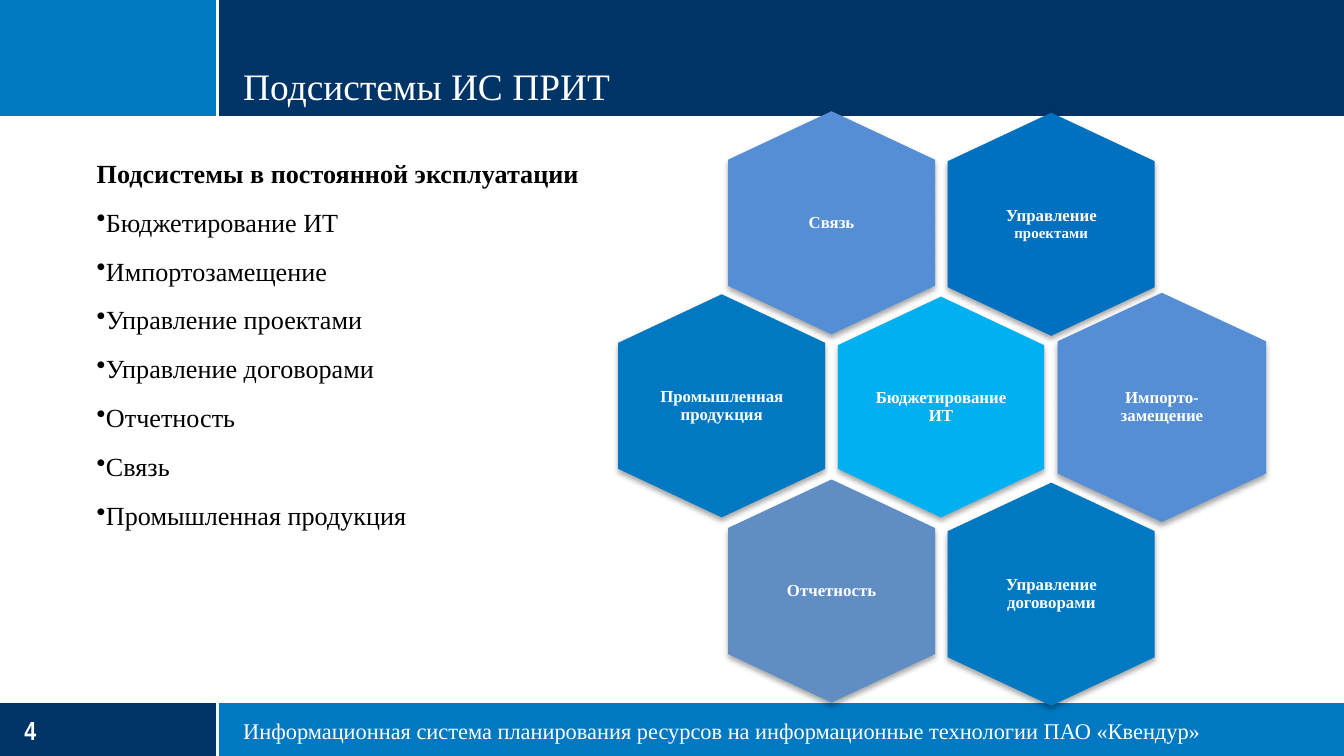
"""Build the slide that shows the subsystems as a list and a honeycomb."""
from dataclasses import dataclass

from lxml.etree import SubElement
from pptx import Presentation
from pptx.dml.color import RGBColor
from pptx.enum.shapes import MSO_CONNECTOR as Connector, MSO_SHAPE as Shape
from pptx.enum.text import MSO_ANCHOR as Anchor, MSO_AUTO_SIZE as AutoSize, PP_ALIGN as Align
from pptx.oxml.ns import qn
from pptx.util import Pt

WIDTH, HEIGHT = 720, 405
HEADER, FOOTER, SIDE = 63, 376.5, 116.5
TEXT_LEFT, TEXT_WIDTH = 130.3, 576.7
COMB_LEFT, COMB_STEP = 331.2, 58.85
PEAK = 26
SERIF = "Times New Roman"
BLUE, NAVY, WHITE, BLACK = "0079C2", "003366", "FFFFFF", "000000"


@dataclass
class Band:
    left: float
    top: float
    width: float
    height: float
    color: str


@dataclass
class Rule:
    start: tuple[float, float]
    end: tuple[float, float]


@dataclass
class Cell:
    spans: list[tuple[str, float]]
    column: int
    top: float
    color: str
    width: float = 110.9
    height: float = 119.5
    inset: tuple[float, float] = (17, 19.5)


BANDS = [
    Band(0, FOOTER, WIDTH, HEIGHT - FOOTER, BLUE),
    Band(0, 0, WIDTH, HEADER, NAVY),
    Band(0, 0, SIDE, HEADER, BLUE),
    Band(0, FOOTER, SIDE, HEIGHT - FOOTER, NAVY),
]
RULES = [
    Rule((0, 376), (WIDTH, 376)),
    Rule((SIDE, 376), (SIDE, HEIGHT)),
    Rule((SIDE, 0), (SIDE, HEADER)),
    Rule((0, HEADER), (WIDTH, HEADER)),
]
CELLS = [
    Cell([("Управление", 9), (" проектами", 8)], 3, 60.4, "0070C0"),
    Cell([("Промышленная продукция", 9)], 0, 157.7, BLUE, inset=(15, 17.5)),
    Cell([("Связь", 9)], 1, 59.6, "558ED5"),
    Cell([("Бюджетирование ИТ", 9)], 2, 158.9, "00B0F0", 110.4, 118.3),
    Cell([("Импорто-замещение", 9)], 4, 156.9, "558ED5", 111.7, 122.8, (15, 18)),
    Cell([("Отчетность", 9)], 1, 256.9, "608DC4"),
    Cell([("Управление договорами", 9)], 3, 258.6, BLUE, inset=(15, 17.5)),
]
HEADING = "Подсистемы в постоянной эксплуатации"
SUBSYSTEMS = [
    "Бюджетирование ИТ", "Импортозамещение", "Управление проектами",
    "Управление договорами", "Отчетность", "Связь", "Промышленная продукция",
]


def rgb(value: str) -> RGBColor:
    return RGBColor.from_string(value)


def write(para, text: str, *, size: float, color: str = WHITE,
          font: str = SERIF, bold: bool = False) -> None:
    span = para.add_run()
    span.text = text
    span.font.name = font
    span.font.size = Pt(size)
    span.font.bold = bold
    span.font.color.rgb = rgb(color)


def set_frame(box, anchor, inset: tuple[float, float] = (0, 0)):
    frame = box.text_frame
    frame.auto_size = AutoSize.NONE
    frame.word_wrap = True
    frame.vertical_anchor = anchor
    frame.margin_left = frame.margin_right = Pt(inset[0])
    frame.margin_top = frame.margin_bottom = Pt(inset[1])
    return frame


def add_text(page, left: float, top: float, width: float, height: float, anchor=Anchor.MIDDLE):
    box = page.shapes.add_textbox(Pt(left), Pt(top), Pt(width), Pt(height))
    return set_frame(box, anchor)


def draw_band(page, band: Band) -> None:
    box = page.shapes.add_shape(
        Shape.RECTANGLE, Pt(band.left), Pt(band.top), Pt(band.width), Pt(band.height))
    box.shadow.inherit = False
    box.fill.solid()
    box.fill.fore_color.rgb = rgb(band.color)
    box.line.fill.background()


def draw_rule(page, rule: Rule):
    line = page.shapes.add_connector(
        Connector.STRAIGHT, *map(Pt, rule.start), *map(Pt, rule.end))
    line.line.color.rgb = rgb(WHITE)
    line.line.width = Pt(1.25)
    SubElement(line.element.spPr, qn("a:effectLst"))
    return line


def add_shadow(box) -> None:
    box.shadow.inherit = False
    effects = box.element.spPr.find(qn("a:effectLst"))
    shadow = SubElement(effects, qn("a:outerShdw"), blurRad=str(Pt(3.1)),
                        dist=str(Pt(1.8)), dir="5400000", rotWithShape="0")
    tint = SubElement(shadow, qn("a:srgbClr"), val=BLACK)
    SubElement(tint, qn("a:alpha"), val="35000")


def draw_cell(page, cell: Cell) -> None:
    left = COMB_LEFT + cell.column * COMB_STEP
    middle, right = left + cell.width / 2, left + cell.width
    bottom = cell.top + cell.height
    upper, lower = cell.top + PEAK, bottom - PEAK
    corners = [(right, upper), (right, lower), (middle, bottom), (left, lower), (left, upper)]
    builder = page.shapes.build_freeform(Pt(middle), Pt(cell.top))
    builder.add_line_segments([(Pt(x), Pt(y)) for x, y in corners], close=True)
    box = builder.convert_to_shape()
    box.fill.solid()
    box.fill.fore_color.rgb = rgb(cell.color)
    box.line.fill.background()
    add_shadow(box)
    para = set_frame(box, Anchor.MIDDLE, cell.inset).paragraphs[0]
    para.alignment = Align.CENTER
    para.line_spacing = 0.9
    for text, size in cell.spans:
        write(para, text, size=size, bold=True)


def draw_list(page) -> None:
    frame = add_text(page, 51.8, 84.2, 279.4, 200.9, Anchor.TOP)
    heading = frame.paragraphs[0]
    heading.space_before = Pt(1)
    write(heading, HEADING, size=14, color=BLACK, bold=True)
    for name in SUBSYSTEMS:
        para = frame.add_paragraph()
        para.line_spacing = 1.5
        para.space_before = Pt(1)
        settings = para._p.get_or_add_pPr()
        settings.set("marL", "0")
        settings.set("indent", str(-Pt(27)))
        SubElement(settings, qn("a:buChar"), char="•")
        write(para, name, size=14, color=BLACK)


def place_title(page, backdrop) -> None:
    title = page.shapes.title
    title.left, title.top = Pt(TEXT_LEFT), Pt(5.8)
    title.width, title.height = Pt(TEXT_WIDTH), Pt(51.8)
    para = set_frame(title, Anchor.BOTTOM).paragraphs[0]
    para.alignment = Align.LEFT
    write(para, "Подсистемы ИС ПРИТ", size=20)
    backdrop.element.addnext(title.element)


def main() -> None:
    deck = Presentation()
    deck.slide_width, deck.slide_height = Pt(WIDTH), Pt(HEIGHT)
    page = deck.slides.add_slide(deck.slide_layouts.get_by_name("Title Only"))
    for band in BANDS:
        draw_band(page, band)
    lines = [draw_rule(page, rule) for rule in RULES]
    place_title(page, lines[-1])
    number = add_text(page, 13, 382.5, 72.7, 17.3)
    write(number.paragraphs[0], "4", size=14, font="Arial Narrow", bold=True)
    draw_list(page)
    for cell in CELLS:
        draw_cell(page, cell)
    footer = add_text(page, TEXT_LEFT, 384, TEXT_WIDTH, 14.4)
    write(footer.paragraphs[0], "Информационная система планирования ресурсов "
          "на информационные технологии ПАО «Квендур»", size=12)
    deck.save("out.pptx")


if __name__ == "__main__":
    main()
